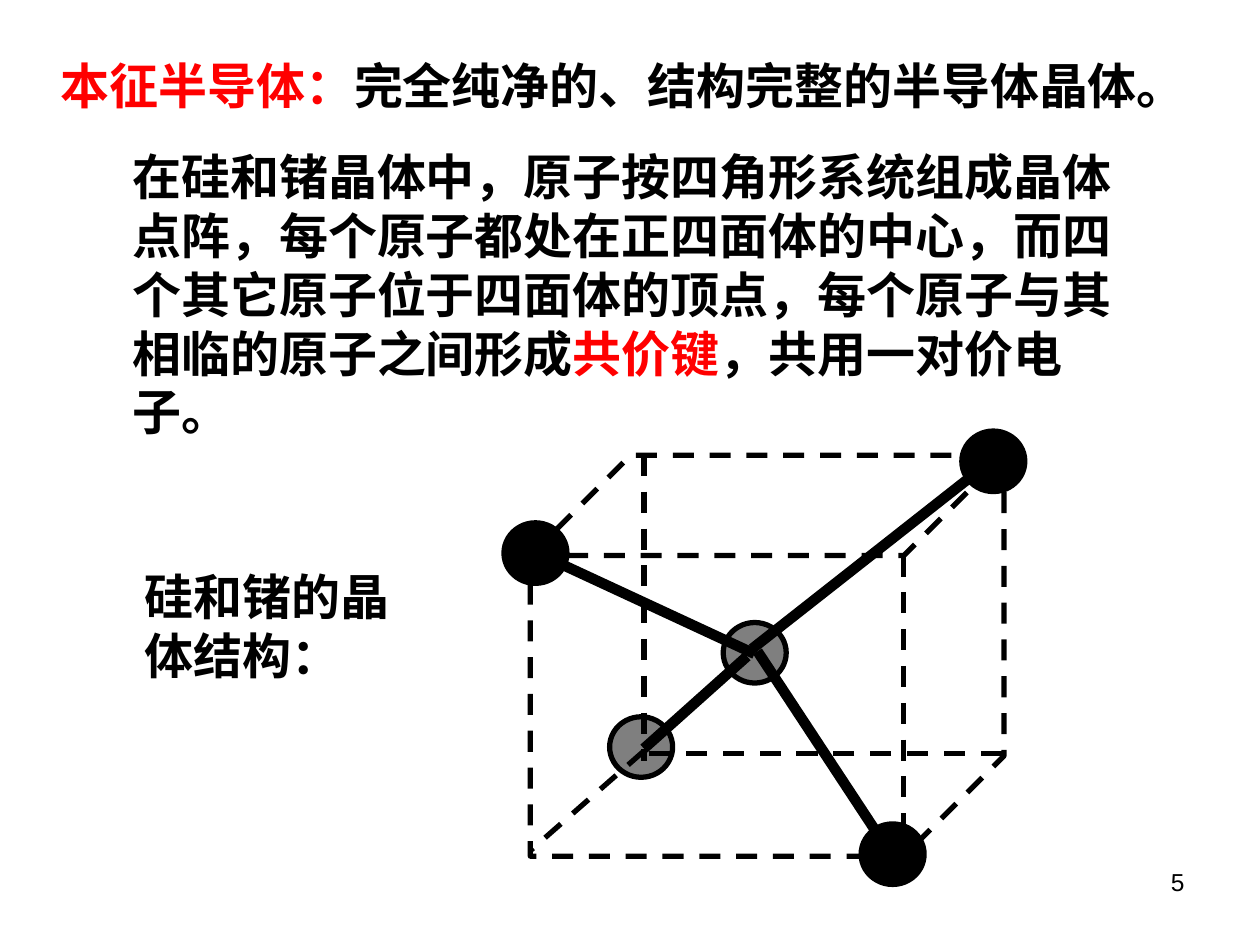
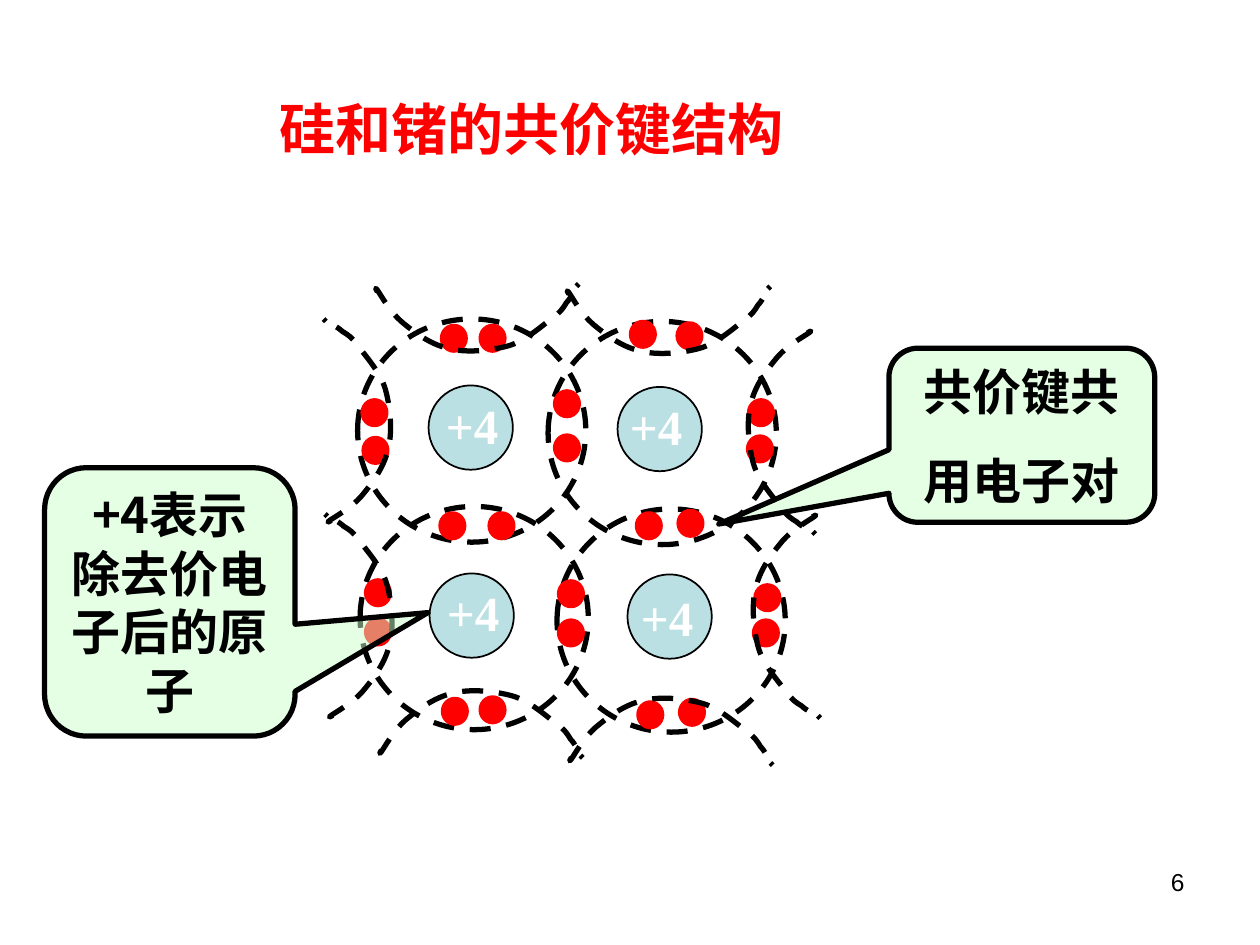
from lxml import etree
from pptx import Presentation
from pptx.dml.color import RGBColor
from pptx.enum.dml import MSO_LINE
from pptx.enum.shapes import MSO_CONNECTOR, MSO_SHAPE
from pptx.enum.text import MSO_ANCHOR, PP_ALIGN
from pptx.oxml.ns import qn
from pptx.util import Cm, Pt

# Shared style; all positions and sizes are in centimetres
BLACK, RED, WHITE = "000000", "FF0000", "FFFFFF"
NUCLEUS_BLUE, CALLOUT_GREEN = "BBE0E3", "CCFFCC"
LATIN_FONT, CHINESE_FONT, NUMBER_FONT = "Times New Roman", "Noto Sans CJK SC", "Arial"
BODY_SIZE, TITLE_SIZE, NUMBER_SIZE = 28, 32, 14
LINE_WIDTH, BOND_WIDTH = 3, 6

# Crystal cell on the first slide
ATOM_SIZE = (1.27, 1.22)
HIDDEN_EDGES = [
    (12.98, 9.17, 12.98, 15.34),
    (20.19, 15.19, 12.93, 15.19),
    (12.98, 15.14, 10.69, 17.15),
]
ATOMS = [  # left, top, opacity in percent
    (14.58, 12.55, 50), (10.16, 10.54, 100), (12.29, 14.45, 50),
    (19.39, 8.69, 100), (17.36, 16.61, 100),
]
BONDS = [
    (11.33, 11.38, 15.21, 13.18),
    (15.06, 13.23, 12.98, 15.09),
    (15.27, 13.13, 17.98, 17.25),
    (15.16, 13.08, 20.07, 9.22),
]

# Covalent lattice on the second slide
RING_SIZE, NUCLEUS_SIZE = (4.6, 4.5), (1.7, 1.7)
CHARGE_SIZE, ELECTRON_SIZE = (1.96, 1.45), (0.46, 0.48)
LATTICE = [  # ring, nucleus and charge positions
    ((7.21, 6.43), (8.64, 7.77), (8.74, 7.85)),
    ((11.05, 6.48), (12.45, 7.8), (12.45, 7.87)),
    ((7.26, 10.21), (8.66, 11.56), (8.76, 11.61)),
    ((11.23, 10.26), (12.65, 11.58), (12.67, 11.71)),
]
ELECTRON_PAIRS = [
    ((11.2, 7.9), (11.2, 8.79)), ((13.69, 10.31), (12.85, 10.36)),
    ((11.28, 11.73), (11.28, 12.52)), ((8.89, 10.36), (9.88, 10.36)),
    ((7.39, 11.71), (7.39, 12.5)), ((8.92, 6.58), (9.7, 6.58)),
    ((7.32, 8.08), (7.34, 8.84)), ((13.72, 14.12), (12.88, 14.17)),
    ((15.09, 8.81), (15.11, 8.08)), ((9.7, 14.07), (8.94, 14.1)),
    ((13.67, 6.53), (12.73, 6.5)), ((15.21, 12.52), (15.24, 11.81)),
]

# Outer arc, opening to the right: a start point and Bezier segments
ARC_SIZE = (1.42, 4.14)
ARC_START = (1.24, 0.08)
ARC_CURVES = [
    ((1.24, 0.08), (1.37, 0), (1.27, 0.08)),
    ((1.17, 0.15), (0.84, 0.33), (0.64, 0.56)),
    ((0.43, 0.81), (0.18, 1.14), (0.1, 1.5)),
    ((0, 1.85), (0.05, 2.36), (0.15, 2.72)),
    ((0.25, 3.07), (0.56, 3.4), (0.71, 3.61)),
    ((0.84, 3.78), (0.89, 3.81), (1.02, 3.89)),
    ((1.12, 3.99), (1.3, 4.06), (1.35, 4.09)),
    ((1.42, 4.14), (1.4, 4.14), (1.4, 4.14)),
    ((1.4, 4.14), (1.37, 4.11), (1.35, 4.09)),
]
ARC_GROUPS = [  # horizontal sign, vertical sign, rotation, centres
    (1, 1, 0, [(15.75, 8.7), (15.85, 12.41)]),
    (1, 1, 270, [(9.6, 6.41), (13.46, 6.46)]),
    (1, -1, 90, [(9.68, 14.59), (13.51, 14.74)]),
    (-1, -1, 0, [(7.21, 8.5), (7.24, 12.43)]),
]


# Formatting helpers
def color(hex_text):
    return RGBColor.from_string(hex_text)


def style_line(line, width=LINE_WIDTH, dashed=False):
    line.color.rgb = color(BLACK)
    line.width = Pt(width)
    if dashed:
        line.dash_style = MSO_LINE.DASH


def style_fill(shape, fill, opacity=100):
    if fill is None:
        shape.fill.background()
        return
    shape.fill.solid()
    shape.fill.fore_color.rgb = color(fill)
    if opacity < 100:
        tint = shape._element.spPr.find(qn("a:solidFill"))[0]
        etree.SubElement(tint, qn("a:alpha"), val=str(opacity * 1000))


def format_span(span, size, ink, font, bold):
    span.font.size = Pt(size)
    span.font.bold = bold
    span.font.name = font
    span.font.color.rgb = color(ink)
    east_asian = etree.Element(qn("a:ea"), typeface=CHINESE_FONT)
    span._r.rPr.find(qn("a:latin")).addnext(east_asian)


def write(frame, paragraphs, size=BODY_SIZE, font=LATIN_FONT, bold=True, align=PP_ALIGN.LEFT):
    """Fill a frame; each paragraph is a list of (text, colour) spans."""
    frame.word_wrap = True
    for index, spans in enumerate(paragraphs):
        para = frame.add_paragraph() if index else frame.paragraphs[0]
        para.alignment = align
        para._p.get_or_add_pPr().set("hangingPunct", "0")
        if index:
            para.space_before = Pt(17.5)
        for text, ink in spans:
            span = para.add_run()
            span.text = text
            format_span(span, size, ink, font, bold)


# Element helpers
def add_text(page, place, spans, **style):
    box = page.shapes.add_textbox(*map(Cm, place))
    write(box.text_frame, [spans], **style)
    return box


def add_page_number(page, number):
    add_text(page, (18.21, 17.35, 5.92, 1.32), [(number, BLACK)],
             size=NUMBER_SIZE, font=NUMBER_FONT, bold=False, align=PP_ALIGN.RIGHT)


def add_figure(page, kind, place, fill=None, opacity=100, width=LINE_WIDTH, dashed=False):
    shape = page.shapes.add_shape(kind, *map(Cm, place))
    shape.shadow.inherit = False
    style_fill(shape, fill, opacity)
    style_line(shape.line, width, dashed)
    return shape


def add_line(page, ends, width=LINE_WIDTH, dashed=False):
    line = page.shapes.add_connector(MSO_CONNECTOR.STRAIGHT, *map(Cm, ends))
    style_line(line.line, width, dashed)
    etree.SubElement(line._element.spPr, qn("a:effectLst"))


def add_callout(page, place, tip, lines, font=LATIN_FONT):
    callout = add_figure(page, MSO_SHAPE.ROUNDED_RECTANGULAR_CALLOUT, place, CALLOUT_GREEN, 50)
    callout.adjustments[0], callout.adjustments[1] = tip
    callout.text_frame.vertical_anchor = MSO_ANCHOR.MIDDLE
    write(callout.text_frame, [[(line, BLACK)] for line in lines],
          font=font, align=PP_ALIGN.CENTER)


def add_arc(page, center, across, down, rotation):
    def place(point):
        x, y = point
        return (Cm(center[0] + across * (x - ARC_SIZE[0] / 2)),
                Cm(center[1] + down * (y - ARC_SIZE[1] / 2)))

    builder = page.shapes.build_freeform(*place(ARC_START))
    builder.add_line_segments([place(curve[-1]) for curve in ARC_CURVES], close=False)
    arc = builder.convert_to_shape()

    # Turn each straight segment into its Bezier curve
    segments = list(arc._element.spPr.iter(qn("a:lnTo")))
    for segment, curve in zip(segments, ARC_CURVES):
        segment.tag = qn("a:cubicBezTo")
        for control in curve[1::-1]:
            x, y = place(control)
            point = etree.Element(qn("a:pt"), x=str(x - arc.left), y=str(y - arc.top))
            segment.insert(0, point)

    # Give the outline the full arc box, so that it turns about its centre
    left, top = place((0 if across > 0 else ARC_SIZE[0], 0 if down > 0 else ARC_SIZE[1]))
    outline = next(arc._element.spPr.iter(qn("a:path")))
    for point in outline.iter(qn("a:pt")):
        point.set("x", str(int(point.get("x")) + arc.left - left))
        point.set("y", str(int(point.get("y")) + arc.top - top))
    arc.left, arc.top = left, top
    arc.width, arc.height = map(Cm, ARC_SIZE)
    outline.set("w", str(arc.width))
    outline.set("h", str(arc.height))
    arc.rotation = rotation
    arc.shadow.inherit = False
    style_fill(arc, None)
    style_line(arc.line, dashed=True)


# Slides
def build_crystal_page(page):
    add_page_number(page, "5")
    add_text(page, (0.97, 0.99, 23.93, 1.45),
             [("本征半导体：", RED), ("完全纯净的、结构完整的半导体晶体。", BLACK)])
    add_text(page, (2.42, 2.83, 20.65, 6.2), [
        ("在硅和锗晶体中，原子按四角形系统组成晶体点阵，每个原子都处在正四面体的中心，"
         "而四个其它原子位于四面体的顶点，每个原子与其相临的原子之间形成", BLACK),
        ("共价键", RED),
        ("，共用一对价电子。", BLACK),
    ])
    add_figure(page, MSO_SHAPE.CUBE, (10.69, 9.18, 9.55, 8.08), dashed=True)
    for edge in HIDDEN_EDGES:
        add_line(page, edge, dashed=True)
    for left, top, opacity in ATOMS:
        add_figure(page, MSO_SHAPE.OVAL, (left, top, *ATOM_SIZE), BLACK, opacity)
    for bond in BONDS:
        add_line(page, bond, BOND_WIDTH)
    label = add_text(page, (2.67, 11.3, 5.56, 2.64), [("硅和锗的晶体结构：", BLACK)])
    label.text_frame.margin_right = Cm(0)


def build_covalent_page(page):
    add_page_number(page, "6")
    add_text(page, (5.39, 1.79, 11.86, 1.63), [("硅和锗的共价键结构", RED)], size=TITLE_SIZE)
    add_callout(page, (17.92, 7.02, 5.36, 3.51), (-1.14, 0.51), ["共价键共", "用电子对"])

    for ring, nucleus, charge in LATTICE:
        add_figure(page, MSO_SHAPE.OVAL, (*nucleus, *NUCLEUS_SIZE), NUCLEUS_BLUE, width=1)
        add_figure(page, MSO_SHAPE.OVAL, (*ring, *RING_SIZE), dashed=True)
        add_text(page, (*charge, *CHARGE_SIZE), [("+4", WHITE)])
    for pair in ELECTRON_PAIRS:
        for position in pair:
            electron = add_figure(page, MSO_SHAPE.OVAL, (*position, *ELECTRON_SIZE), RED)
            electron.line.color.rgb = color(RED)
    for across, down, rotation, centers in ARC_GROUPS:
        for center in centers:
            add_arc(page, center, across, down, rotation)

    add_callout(page, (0.9, 9.43, 5.05, 5.41), (1.03, 0.04),
                ["+4表示除去价电子后的原子"], font=CHINESE_FONT)


def main():
    deck = Presentation()
    deck.slide_width, deck.slide_height = Cm(25.4), Cm(19.05)
    blank = deck.slide_layouts[6]
    for build in (build_crystal_page, build_covalent_page):
        build(deck.slides.add_slide(blank))
    deck.save("out.pptx")


if __name__ == "__main__":
    main()
